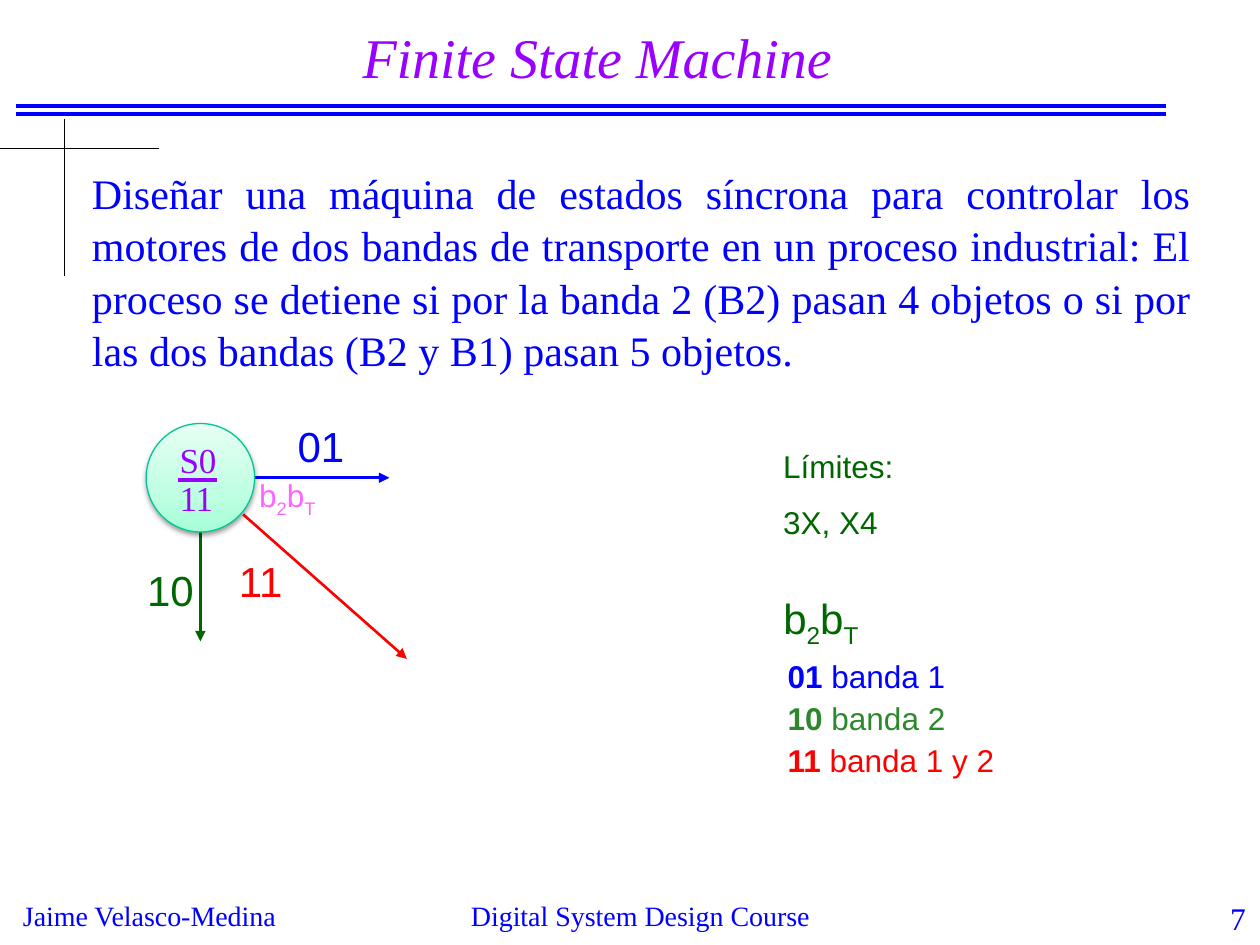
"""Build the finite state machine slide with its state, transitions and legend."""
from copy import deepcopy

from lxml import etree
from pptx import Presentation
from pptx.dml.color import RGBColor
from pptx.enum.shapes import MSO_CONNECTOR, MSO_SHAPE
from pptx.enum.text import MSO_ANCHOR, MSO_AUTO_SIZE, PP_ALIGN
from pptx.oxml.ns import qn
from pptx.util import Pt

STRAIGHT = MSO_CONNECTOR.STRAIGHT
OVAL = MSO_SHAPE.OVAL
MIDDLE = MSO_ANCHOR.MIDDLE
NO_FIT = MSO_AUTO_SIZE.NONE
LEFT, CENTER, RIGHT, JUSTIFY = (
    PP_ALIGN.LEFT, PP_ALIGN.CENTER, PP_ALIGN.RIGHT, PP_ALIGN.JUSTIFY)

BLACK = RGBColor(0x00, 0x00, 0x00)
BLUE = RGBColor(0x00, 0x00, 0xFF)
PURPLE = RGBColor(0x99, 0x00, 0xFF)
DARK_GREEN = RGBColor(0x00, 0x66, 0x00)
GREEN = RGBColor(0x2D, 0x87, 0x2D)
RED = RGBColor(0xFF, 0x00, 0x00)
PINK = RGBColor(0xFF, 0x66, 0xFF)
TEAL = RGBColor(0x00, 0xC8, 0x96)
MINT = ((0, RGBColor(0xA5, 0xFF, 0xD6)),
        (0.35, RGBColor(0xBF, 0xFF, 0xE2)),
        (1, RGBColor(0xE7, 0xFF, 0xF3)))

SERIF, SANS = "Times New Roman", "Arial"
NORMAL, BOLD, SUB = "normal", "bold", "sub"
INPUTS = (("b", NORMAL), ("2", SUB), ("b", NORMAL), ("T", SUB))


class SlideBuilder:
    """Hold the style and the slide being filled."""

    def __init__(self, slide):
        self.slide = slide

    def add_runs(self, paragraph, runs, size, color, font, italic=False):
        """Add styled runs to a paragraph."""
        for text, style in runs:
            run = paragraph.add_run()
            run.text = text
            run.font.name = font
            run.font.size = Pt(size)
            run.font.color.rgb = color
            run.font.bold = style == BOLD
            run.font.italic = italic
            if style == SUB:
                run._r.get_or_add_rPr().set("baseline", "-25000")

    def title(self, text, left, top, width, height):
        """Place and fill the title placeholder."""
        title = self.slide.shapes.title
        title.left, title.top = Pt(left), Pt(top)
        title.width, title.height = Pt(width), Pt(height)
        frame = title.text_frame
        frame.auto_size = NO_FIT
        frame.vertical_anchor = MIDDLE
        paragraph = frame.paragraphs[0]
        paragraph.alignment = CENTER
        paragraph.line_spacing = 0.87
        self.add_runs(paragraph, [(text, NORMAL)], 32, PURPLE, SERIF, italic=True)

    def text(self, paragraphs, left, top, width, height, size, color,
             font=SANS, align=LEFT, gap=0, wrap=True):
        """Add a text box, one list of runs for each paragraph."""
        box = self.slide.shapes.add_textbox(
            Pt(left), Pt(top), Pt(width), Pt(height))
        frame = box.text_frame
        frame.word_wrap = wrap
        for index, runs in enumerate(paragraphs):
            paragraph = frame.add_paragraph() if index else frame.paragraphs[0]
            paragraph.alignment = align
            if index:
                paragraph.space_before = Pt(gap)
            self.add_runs(paragraph, runs, size, color, font)
        return frame

    def label(self, text, *place, **style):
        """Add a text box with a single plain run."""
        return self.text([[(text, NORMAL)]], *place, **style)

    def line(self, start, end, color, weight, arrow=False):
        """Add a straight line, with an arrowhead at its end if asked."""
        line = self.slide.shapes.add_connector(
            STRAIGHT, *(Pt(value) for value in start + end))
        line.line.color.rgb = color
        line.line.width = Pt(weight)
        if arrow:
            etree.SubElement(line._element.spPr.find(qn("a:ln")),
                             qn("a:tailEnd"), type="triangle")
        etree.SubElement(line._element.spPr, qn("a:effectLst"))

    def state(self, left, top, size):
        """Add a state circle with a gradient and a soft shadow."""
        circle = self.slide.shapes.add_shape(
            OVAL, Pt(left), Pt(top), Pt(size), Pt(size))
        circle.fill.gradient()
        circle.fill.gradient_angle = 90
        properties = circle._element.spPr
        stops = properties.find(".//" + qn("a:gsLst"))
        stops.append(deepcopy(stops[0]))
        for stop, (position, color) in zip(circle.fill.gradient_stops, MINT):
            stop.position = position
            stop.color.rgb = color
        circle.line.color.rgb = TEAL
        circle.line.width = Pt(0.75)
        circle.shadow.inherit = False
        shadow = etree.SubElement(
            properties.find(qn("a:effectLst")), qn("a:outerShdw"),
            blurRad=str(Pt(3.1)), dist=str(Pt(1.6)), dir="5400000",
            rotWithShape="0")
        shade = etree.SubElement(shadow, qn("a:srgbClr"), val=str(BLACK))
        etree.SubElement(shade, qn("a:alpha"), val="38000")


def main():
    """Build and save the slide."""
    deck = Presentation()
    deck.slide_width, deck.slide_height = Pt(720), Pt(540)
    page = SlideBuilder(deck.slides.add_slide(deck.slide_layouts[5]))

    for rule_y in (60.5, 65):
        page.line((9, rule_y), (666, rule_y), BLUE, 2.25)
    page.line((0, 85), (91, 85), BLACK, 0.75)
    page.line((37, 68), (37, 158), BLACK, 0.75)

    footer = {"size": 16, "color": BLUE, "font": SERIF}
    page.label("Jaime Velasco-Medina", 6, 510, 162, 26, wrap=False, **footer)
    page.label("Digital System Design Course", 240, 510, 252, 24,
               align=CENTER, **footer)
    page.label("7", 669, 510, 50, 24, align=RIGHT, **{**footer, "size": 18})

    page.title("Finite State Machine", 11.5, 8, 660, 54)
    problem = page.label(
        "Diseñar una máquina de estados síncrona para controlar los motores "
        "de dos bandas de transporte en un proceso industrial: El proceso se "
        "detiene si por la banda 2 (B2) pasan 4 objetos o si por las dos "
        "bandas (B2 y B1) pasan 5 objetos.",
        45.5, 91, 642, 181, size=24, color=BLUE, font=SERIF, align=JUSTIFY)
    problem.paragraphs[0].line_spacing = 1.04

    transitions = (
        ("01", BLUE, (163, 237), (146, 273), (222.5, 273), 1.75),
        ("10", DARK_GREEN, (77, 319), (114.5, 304), (114.5, 366.5), 1.5),
        ("11", RED, (129.5, 314), (139, 294), (232.5, 376.5), 1.5),
    )
    for code, color, place, start, end, weight in transitions:
        page.label(code, *place, 45, 36, size=24, color=color)
        page.line(start, end, color, weight, arrow=True)

    page.state(83.5, 242, 62)
    state_name = page.text([[("S0", NORMAL)], [("11", NORMAL)]],
                           95.5, 247, 37, 50, size=20, color=PURPLE,
                           font=SERIF, gap=12)
    state_name.paragraphs[1].line_spacing = 0.3
    page.line((101.5, 274.5), (124, 274.5), PURPLE, 2.25)
    page.text([INPUTS], 141, 268.5, 65, 29, size=18, color=PINK)

    legend = (("01", " banda 1", BLUE),
              ("10 ", "banda 2", GREEN),
              ("11", " banda 1 y 2", RED))
    for row, (code, meaning, color) in enumerate(legend):
        page.text([[(code, BOLD), (meaning, NORMAL)]],
                  443, 372 + 24 * row, 137, 29, size=18, color=color)
    page.text([INPUTS], 440.5, 335, 135, 36, size=24, color=DARK_GREEN)
    page.text([[("Límites:", NORMAL)], [("3X, X4", NORMAL)]],
              440.5, 252, 116, 62, size=18, color=DARK_GREEN, gap=10)

    deck.save("out.pptx")


if __name__ == "__main__":
    main()
